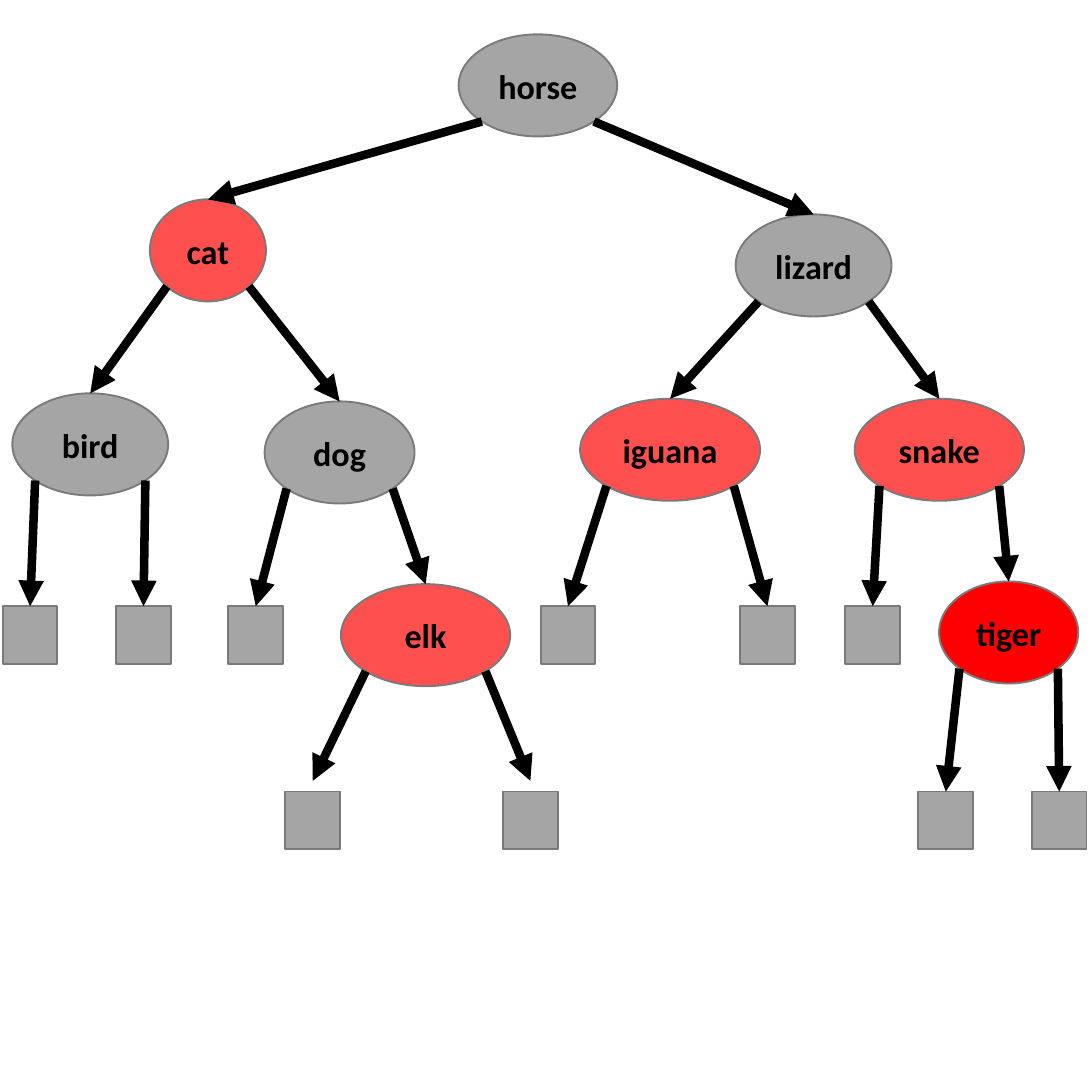
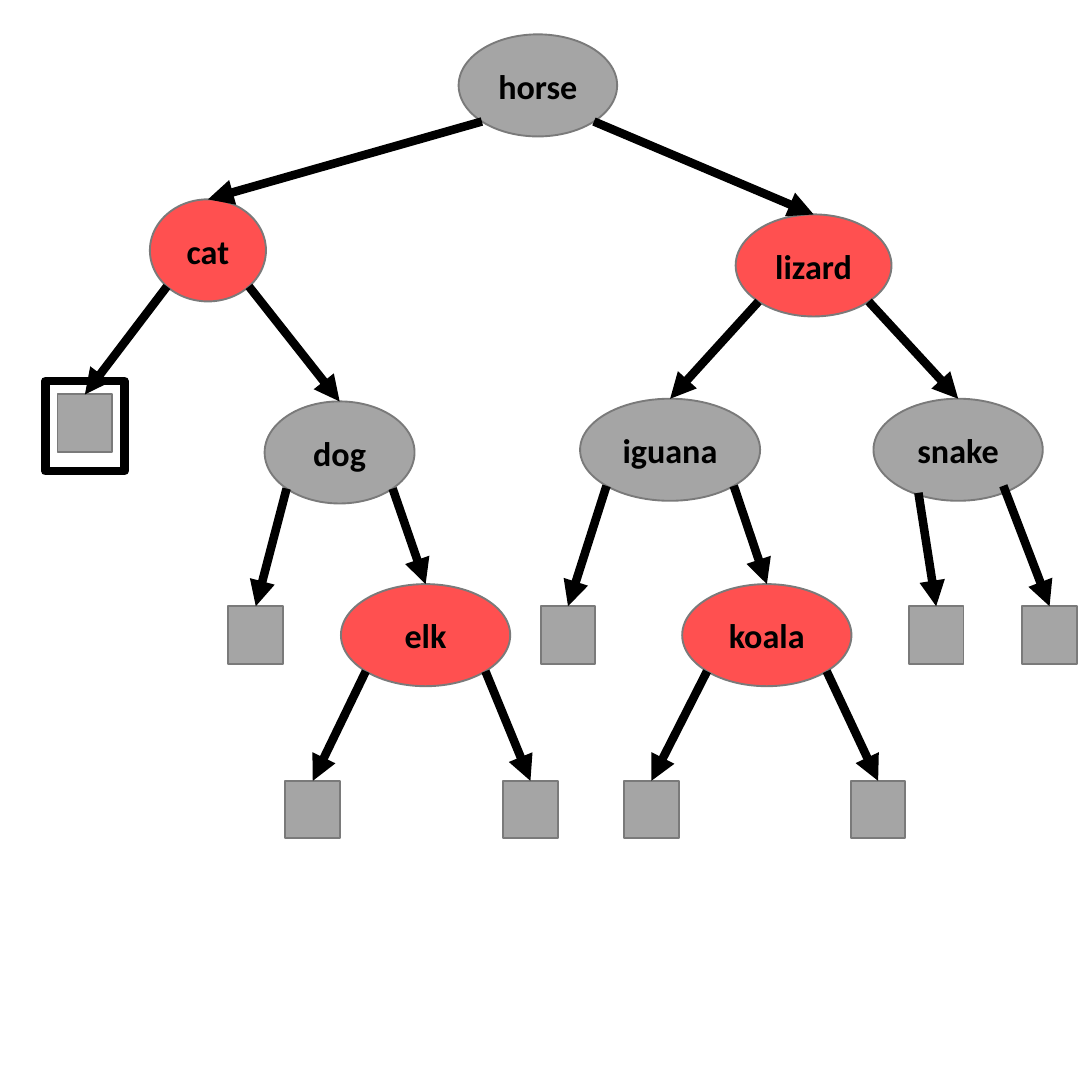
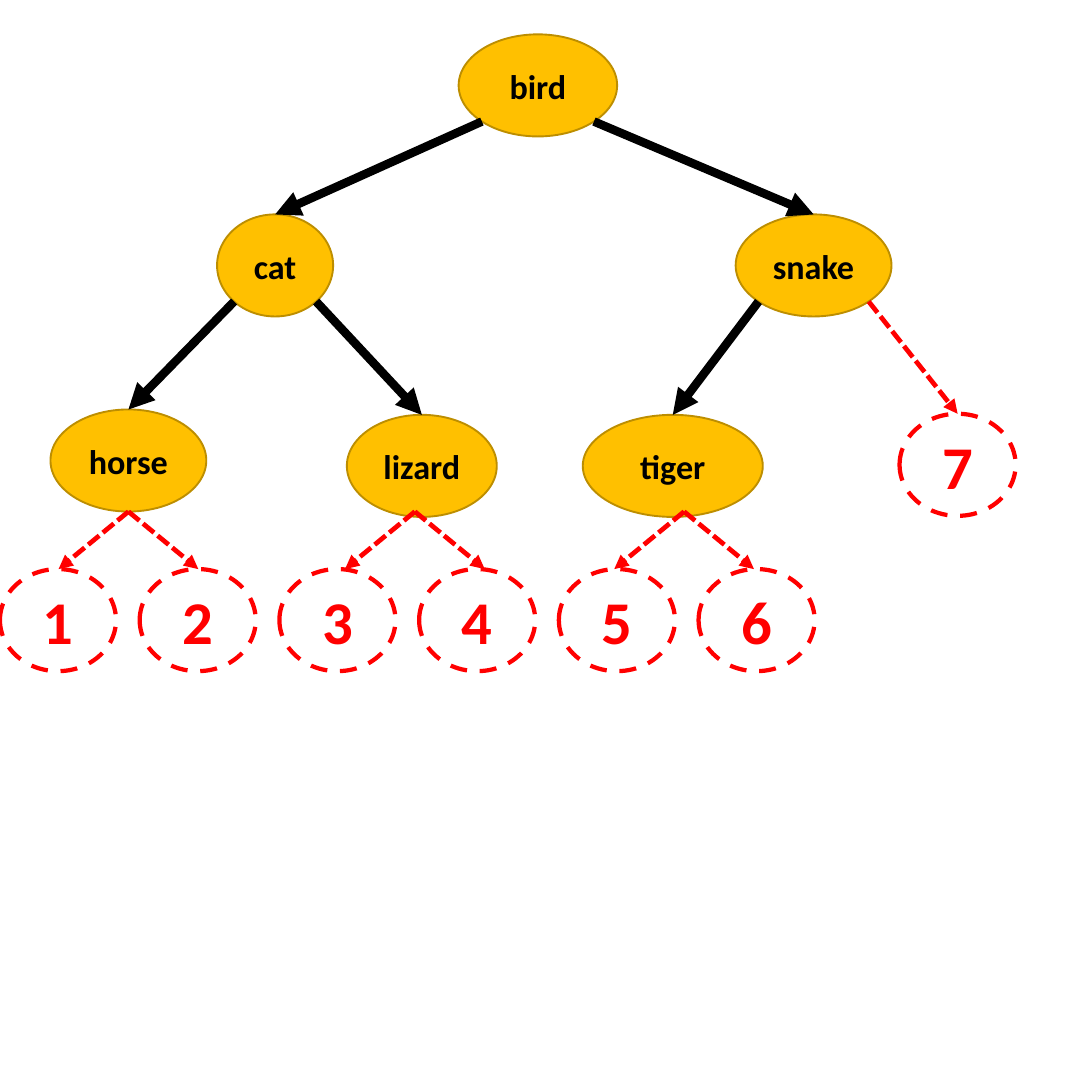
import collections
import math

import pptx
import pptx.dml.color
import pptx.enum.dml
import pptx.enum.shapes
import pptx.enum.text
import pptx.oxml
import pptx.oxml.ns
import pptx.util

Cm = pptx.util.Cm
RGB = pptx.dml.color.RGBColor
KIND = pptx.enum.shapes.MSO_SHAPE
DASH = pptx.enum.dml.MSO_LINE

BLACK = RGB(0x00, 0x00, 0x00)
GRAY = RGB(0xA5, 0xA5, 0xA5)
EDGE = RGB(0x7A, 0x7A, 0x7A)
CORAL = RGB(0xFF, 0x50, 0x50)
RED = RGB(0xFF, 0x00, 0x00)
GOLD = RGB(0xFF, 0xC0, 0x00)
BROWN = RGB(0xBD, 0x8E, 0x00)

SIDE = 20.32
HIGH = 1.9  # height of every oval
LEAF = (1.02, 1.07)
LOW = 11.28  # top of the upper row of leaves

Node = collections.namedtuple("Node", "x y w shape")


def text(shape, words, size=18, color=BLACK, bold=True, font="Calibri"):
    frame = shape.text_frame
    frame.word_wrap = True
    frame.margin_left = frame.margin_right = 0
    frame.margin_top = frame.margin_bottom = 0
    frame.vertical_anchor = pptx.enum.text.MSO_ANCHOR.MIDDLE
    para = frame.paragraphs[0]
    para.alignment = pptx.enum.text.PP_ALIGN.CENTER
    run = para.add_run()
    run.text = words
    run.font.name = font
    run.font.size = pptx.util.Pt(size)
    run.font.bold = bold
    run.font.color.rgb = color


class Deck:
    def __init__(self):
        self.file = pptx.Presentation()
        self.file.slide_width = self.file.slide_height = Cm(SIDE)
        self.slide = None

    def page(self):
        self.slide = self.file.slides.add_slide(self.file.slide_layouts[6])

    def pen(self, line, color, width, dash=None):
        line.color.rgb = color
        line.width = pptx.util.Pt(width)
        if dash:
            line.dash_style = dash

    def node(self, kind, x, y, w, h, fill, edge, width=1, dash=None):
        """Draw a shape centred on x with its top at y."""
        shape = self.slide.shapes.add_shape(
            kind, Cm(x - w / 2), Cm(y), Cm(w), Cm(h))
        shape.shadow.inherit = False
        if fill is None:
            shape.fill.background()
        else:
            shape.fill.solid()
            shape.fill.fore_color.rgb = fill
        self.pen(shape.line, edge, width, dash)
        return Node(x, y, w, shape)

    def oval(self, word, x, y, w, fill=GRAY, edge=EDGE):
        node = self.node(KIND.OVAL, x, y, w, HIGH, fill, edge)
        text(node.shape, word)
        return node

    def slot(self, mark, x, y):
        """Draw a dashed, numbered free place."""
        node = self.node(KIND.OVAL, x, y, 2.16, HIGH, None, RED, 2.25, DASH.DASH)
        text(node.shape, mark, size=32, color=RED)
        return node

    def leaf(self, x, y=LOW):
        return self.node(KIND.RECTANGLE, x, y, *LEAF, GRAY, EDGE)

    def arrow(self, start, end, free=False):
        line = self.slide.shapes.add_connector(
            pptx.enum.shapes.MSO_CONNECTOR.STRAIGHT,
            *(Cm(v) for v in (*start, *end)))
        if free:
            self.pen(line.line, RED, 2.5, DASH.SQUARE_DOT)
        else:
            self.pen(line.line, BLACK, 4.5)
        tail = pptx.oxml.parse_xml(
            "<a:tailEnd %s type='triangle'/>" % pptx.oxml.ns.nsdecls("a"))
        line.line._get_or_add_ln().append(tail)
        line._element.spPr.append(pptx.oxml.parse_xml(
            "<a:effectLst %s/>" % pptx.oxml.ns.nsdecls("a")))
        return line

    def link(self, top, kid, side, gap=0, start=None, free=False):
        """Join the lower left (-1) or right (1) of an oval to its child."""
        reach = math.sqrt(0.5) / 2
        start = start or (top.x + side * top.w * reach,
                          top.y + HIGH * (0.5 + reach))
        line = self.arrow(start, (kid.x, kid.y - gap), free)
        if not gap:
            line.end_connect(kid.shape, 0)

    def fork(self, top, left, right, gap=0):
        self.link(top, left, -1, gap)
        self.link(top, right, 1, gap)


def common(deck, hue):
    """Draw what both coloured trees share; hue fills the lizard."""
    horse = deck.oval("horse", 10.01, 0.64, 2.95)
    cat = deck.oval("cat", 3.87, 3.71, 2.16, CORAL)
    lizard = deck.oval("lizard", 15.14, 3.99, 2.9, hue)
    dog = deck.oval("dog", 6.32, 7.47, 2.79)
    elk = deck.oval("elk", 7.92, 10.87, 3.15, CORAL)
    deck.fork(horse, cat, lizard)
    deck.link(cat, dog, 1)
    deck.fork(dog, deck.leaf(4.76), elk)
    return cat, lizard, elk


def first(deck):
    deck.page()
    cat, lizard, elk = common(deck, GRAY)
    bird = deck.oval("bird", 1.68, 7.32, 2.9)
    iguana = deck.oval("iguana", 12.47, 7.42, 3.35, CORAL)
    snake = deck.oval("snake", 17.48, 7.42, 3.15, CORAL)
    tiger = deck.oval("tiger", 18.77, 10.82, 2.59, RED)
    low = 14.73
    deck.link(cat, bird, -1)
    deck.fork(lizard, iguana, snake)
    deck.fork(bird, deck.leaf(0.56), deck.leaf(2.67))
    deck.fork(elk, deck.leaf(5.82, low), deck.leaf(9.87, low), gap=0.2)
    deck.fork(iguana, deck.leaf(10.57), deck.leaf(14.28))
    deck.fork(snake, deck.leaf(16.24), tiger)
    deck.fork(tiger, deck.leaf(17.6, low), deck.leaf(19.71, low))


def second(deck):
    deck.page()
    cat, lizard, elk = common(deck, CORAL)
    iguana = deck.oval("iguana", 12.47, 7.42, 3.35)
    snake = deck.oval("snake", 17.83, 7.42, 3.15)
    koala = deck.oval("koala", 14.27, 10.87, 3.15, CORAL)
    low = 14.53
    deck.link(cat, deck.leaf(1.58, 7.34), -1)
    deck.fork(lizard, iguana, snake)
    deck.fork(elk, deck.leaf(5.82, low), deck.leaf(9.87, low))
    deck.fork(iguana, deck.leaf(10.57), koala)
    deck.fork(koala, deck.leaf(12.12, low), deck.leaf(16.34, low))
    deck.link(snake, deck.leaf(17.42), -1, start=(17.09, 9.17))
    deck.link(snake, deck.leaf(19.53), 1, start=(18.67, 9.04))
    deck.node(KIND.RECTANGLE, 1.58, 7.09, 1.47, 1.68, None, BLACK, 4.5)


def third(deck):
    deck.page()
    bird, cat, snake, horse, lizard, tiger = (
        deck.oval(*item, GOLD, BROWN) for item in (
            ("bird", 10.01, 0.64, 2.95),
            ("cat", 5.12, 3.99, 2.16),
            ("snake", 15.14, 3.99, 2.9),
            ("horse", 2.39, 7.62, 2.9),
            ("lizard", 7.85, 7.72, 2.79),
            ("tiger", 12.52, 7.72, 3.35)))
    deck.fork(bird, cat, snake)
    deck.fork(cat, horse, lizard)
    deck.link(snake, tiger, -1)
    deck.link(snake, deck.slot("7", 17.82, 7.7), 1, free=True)
    low = 10.59
    for i in range(6):
        deck.slot(str(i + 1), 1.08 + 2.6 * i, low)
    for x in (2.39, 7.72, 12.73):
        for side in (-1, 1):
            deck.arrow((x, 9.52), (x + 1.3 * side, low), free=True)


def main():
    deck = Deck()
    first(deck)
    second(deck)
    third(deck)
    deck.file.save("out.pptx")


if __name__ == "__main__":
    main()
